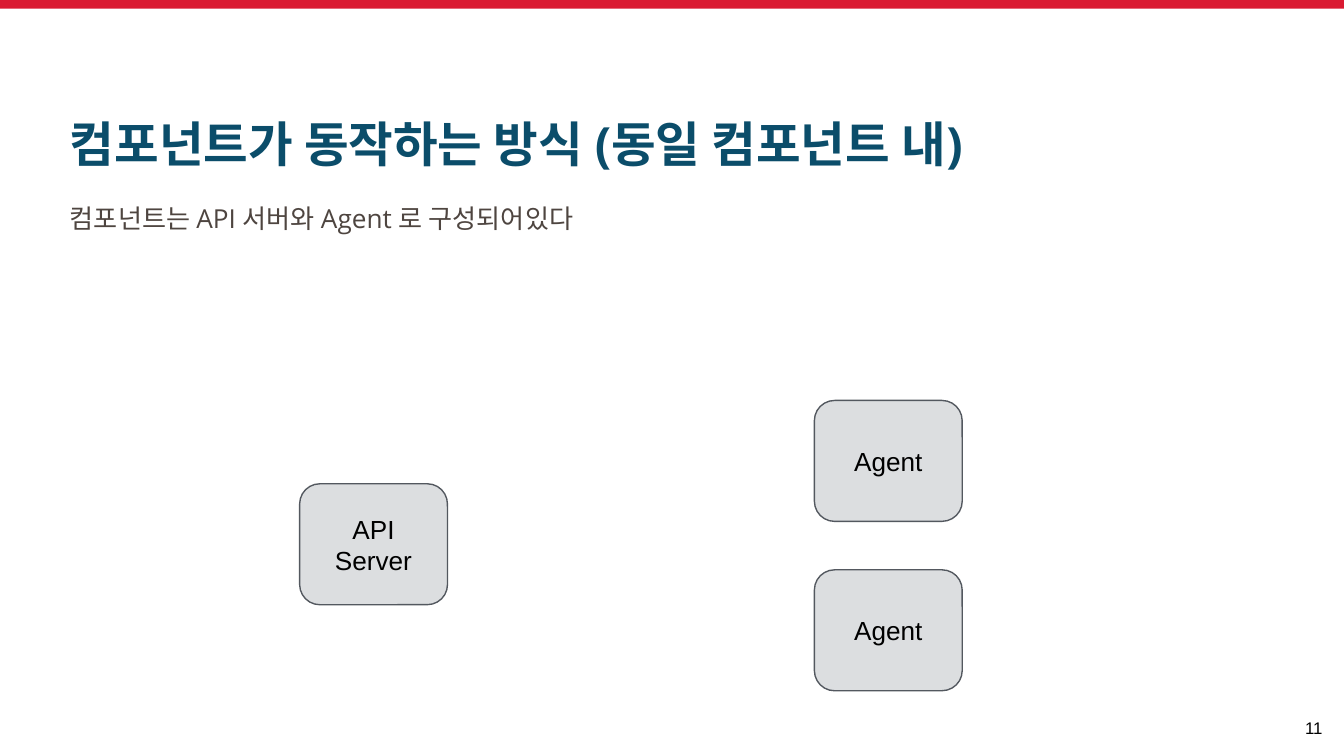
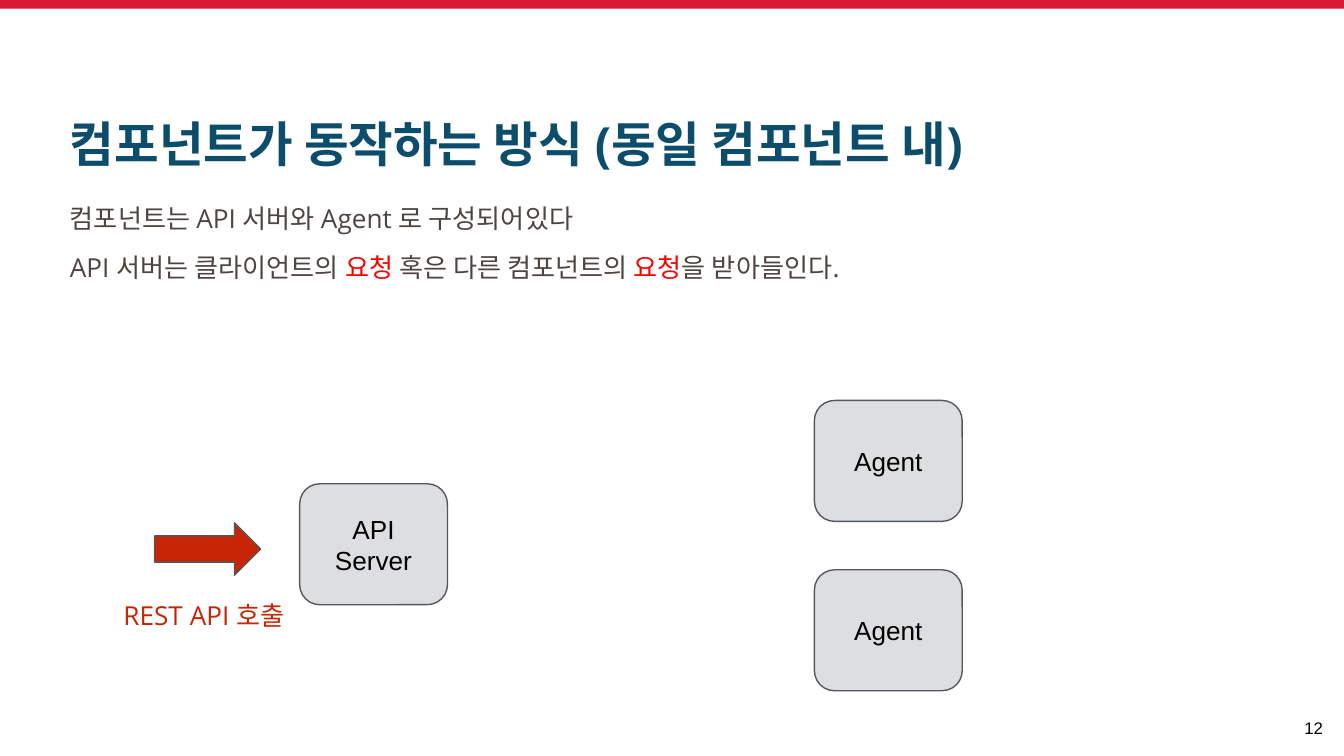
from dataclasses import dataclass
from typing import NamedTuple

import pptx
import pptx.dml.color
import pptx.enum.shapes
import pptx.enum.text
import pptx.slide
import pptx.util

RGBColor = pptx.dml.color.RGBColor
Shape = pptx.enum.shapes.MSO_SHAPE
Align = pptx.enum.text.PP_ALIGN
Anchor = pptx.enum.text.MSO_ANCHOR

# The slide is a grid of square cells, a tenth of an inch each.
CELL = pptx.util.Inches(0.1)
COLS, ROWS = 100, 56.25

BAND_RED = RGBColor(0xDA, 0x1A, 0x32)
TITLE_BLUE = RGBColor(0x0B, 0x4D, 0x6A)
BODY_BROWN = RGBColor(0x4E, 0x45, 0x40)
KEYWORD_RED = RGBColor(0xFF, 0x00, 0x00)
CALL_RED = RGBColor(0xC8, 0x25, 0x06)
NODE_GRAY = RGBColor(0xDC, 0xDE, 0xE0)
OUTLINE_GRAY = RGBColor(0x53, 0x58, 0x5F)
BLACK = RGBColor(0x00, 0x00, 0x00)

HEADING_FONT, LABEL_FONT = "Open Sans", "Arial"
TITLE = "컴포넌트가 동작하는 방식 (동일 컴포넌트 내)"


class Box(NamedTuple):
    """A place on the grid, in columns and rows."""
    col: float
    row: float
    cols: float
    rows: float


class Span(NamedTuple):
    text: str
    color: RGBColor = BODY_BROWN


@dataclass(frozen=True)
class TextStyle:
    font: str
    size: float
    bold: bool = False
    align: Align = Align.LEFT
    anchor: Anchor = Anchor.TOP
    inset: float = 0.4
    line_spacing: float = 1.0
    gap: float = 0


@dataclass(frozen=True)
class Node:
    label: str
    col: float
    row: float


@dataclass(frozen=True)
class Page:
    number: int
    body_cols: float
    body: list[list[Span]]
    shows_call: bool = False


TITLE_STYLE = TextStyle(HEADING_FONT, 26, bold=True, anchor=Anchor.BOTTOM,
                        line_spacing=0.8)
BODY_STYLE = TextStyle(HEADING_FONT, 14, line_spacing=0.9, gap=11)
NODE_STYLE = TextStyle(LABEL_FONT, 14, align=Align.CENTER,
                       anchor=Anchor.MIDDLE, inset=1)
CALL_STYLE = TextStyle(HEADING_FONT, 14, inset=1)
NUMBER_STYLE = TextStyle(LABEL_FONT, 9, align=Align.CENTER, inset=0.2)

NODE_COLS, NODE_ROWS = 11, 9
NODES = [
    Node("API\vServer", 22.3, 36),
    Node("Agent", 60.6, 29.8),
    Node("Agent", 60.6, 42.4),
]

INTRO = [Span("컴포넌트는 API 서버와 Agent 로 구성되어있다")]
REQUESTS = [
    Span("API 서버는 클라이언트의 "),
    Span("요청", KEYWORD_RED),
    Span(" 혹은 다른 컴포넌트의 "),
    Span("요청", KEYWORD_RED),
    Span("을 받아들인다."),
]
PAGES = [
    Page(11, 48.1, [INTRO]),
    Page(12, 58.9, [INTRO, REQUESTS], shows_call=True),
]


def place(box: Box) -> list[int]:
    return [round(n * CELL) for n in box]


def write(sp, paragraphs: list[list[Span]], style: TextStyle) -> None:
    tf = sp.text_frame
    tf.word_wrap = True
    tf.vertical_anchor = style.anchor
    inset = round(style.inset * CELL)
    tf.margin_left = tf.margin_right = inset
    tf.margin_top = tf.margin_bottom = inset
    for i, spans in enumerate(paragraphs):
        p = tf.add_paragraph() if i else tf.paragraphs[0]
        p.alignment = style.align
        p.line_spacing = style.line_spacing
        if i:
            p.space_before = pptx.util.Pt(style.gap)
        for span in spans:
            # A vertical tab in a label becomes a line break.
            for j, line in enumerate(span.text.split("\v")):
                if j:
                    p.add_line_break()
                r = p.add_run()
                r.text = line
                r.font.name = style.font
                r.font.size = pptx.util.Pt(style.size)
                r.font.bold = style.bold
                r.font.color.rgb = span.color


def add_text(slide: pptx.slide.Slide, box: Box,
             paragraphs: list[list[Span]], style: TextStyle) -> None:
    write(slide.shapes.add_textbox(*place(box)), paragraphs, style)


def add_filled(slide: pptx.slide.Slide, kind: Shape, box: Box,
               fill: RGBColor, outlined: bool = True):
    sp = slide.shapes.add_shape(kind, *place(box))
    sp.shadow.inherit = False
    sp.fill.solid()
    sp.fill.fore_color.rgb = fill
    if outlined:
        sp.line.color.rgb = OUTLINE_GRAY
        sp.line.width = pptx.util.Pt(0.75)
    else:
        sp.line.fill.background()
    return sp


def add_node(slide: pptx.slide.Slide, node: Node) -> None:
    box = Box(node.col, node.row, NODE_COLS, NODE_ROWS)
    sp = add_filled(slide, Shape.ROUNDED_RECTANGLE, box, NODE_GRAY)
    write(sp, [[Span(node.label, BLACK)]], NODE_STYLE)


def add_call(slide: pptx.slide.Slide) -> None:
    """Draw the arrow into the API server, with its caption."""
    add_filled(slide, Shape.RIGHT_ARROW, Box(11.5, 38.9, 7.9, 3.9), CALL_RED)
    add_text(slide, Box(8.2, 43.6, 14.6, 4.4),
             [[Span("REST API 호출", CALL_RED)]], CALL_STYLE)


def add_page(prs, page: Page) -> None:
    slide = prs.slides.add_slide(prs.slide_layouts[6])
    add_filled(slide, Shape.RECTANGLE, Box(0, 0, COLS, 0.65), BAND_RED,
               outlined=False)
    add_text(slide, Box(4.8, 7.4, 92, 5.8), [[Span(TITLE, TITLE_BLUE)]],
             TITLE_STYLE)
    for node in NODES:
        add_node(slide, node)
    add_text(slide, Box(4.8, 14.9, page.body_cols, 8.1), page.body, BODY_STYLE)
    if page.shows_call:
        add_call(slide)
    add_text(slide, Box(96.8, 53.2, 1.9, 1.9),
             [[Span(str(page.number), BLACK)]], NUMBER_STYLE)


def main() -> None:
    prs = pptx.Presentation()
    prs.slide_width = round(COLS * CELL)
    prs.slide_height = round(ROWS * CELL)
    for page in PAGES:
        add_page(prs, page)
    prs.save("out.pptx")


if __name__ == "__main__":
    main()
